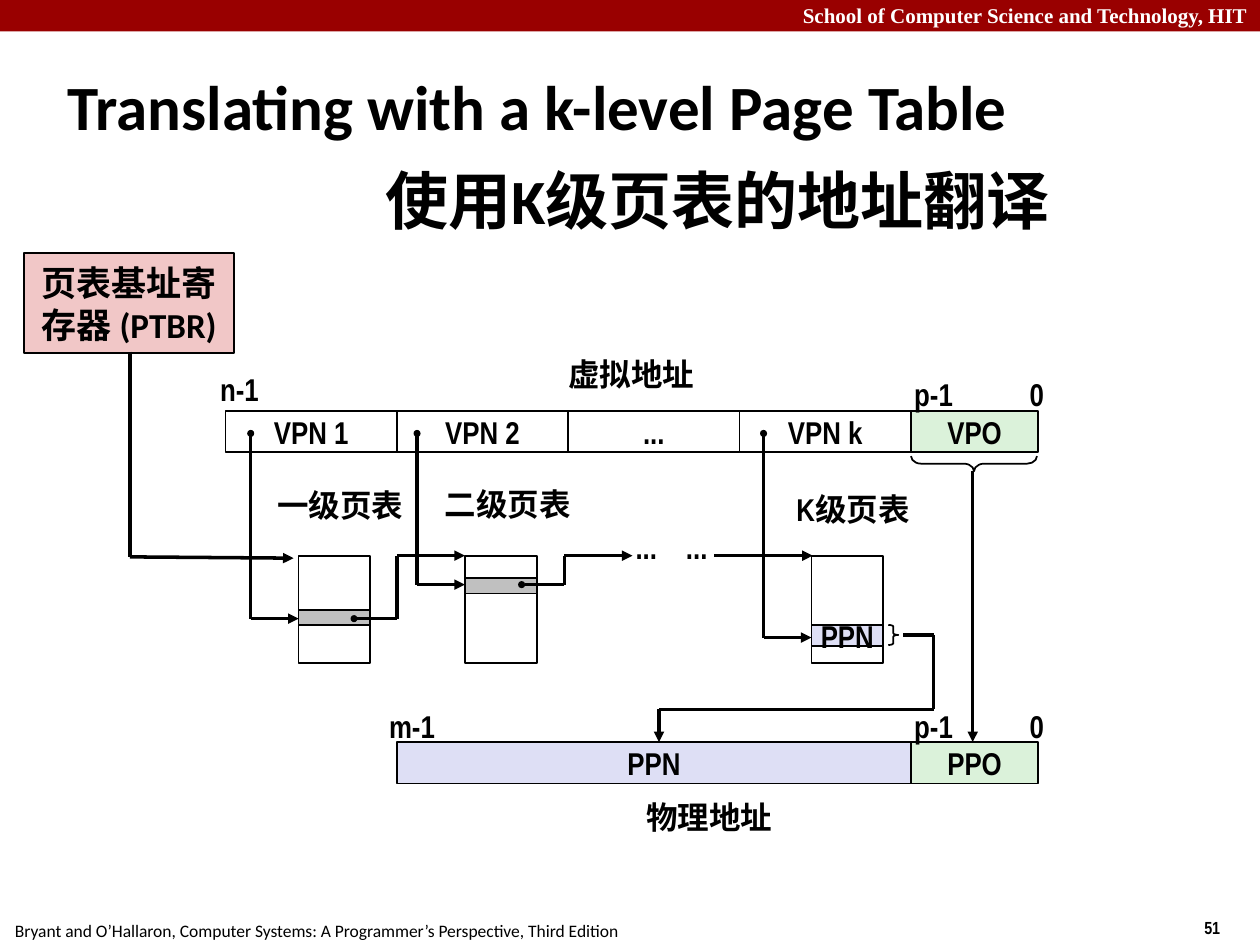
from itertools import pairwise
from lxml.etree import SubElement
from pptx import Presentation
from pptx.dml.color import RGBColor
from pptx.enum.shapes import MSO_CONNECTOR, MSO_SHAPE
from pptx.enum.text import MSO_ANCHOR, PP_ALIGN
from pptx.oxml.ns import qn
from pptx.util import Inches, Pt

THEME = dict(
    ink="000000", white="FFFFFF", banner="990000", base="F1C7C7",
    offset="DBF2DA", frame="DEDFF5", entry="C0C0C0",
    narrow="Arial Narrow", sans="Calibri", serif="Times New Roman",
    title=36, large=20, body=18, head=12, small=10, edge=1, wire=2,
)

TITLE = [("Translating with a k-level Page Table", 0), ("使用K级页表的地址翻译", 2.52)]
FIELDS = ["VPN 1", "VPN 2", "...", "VPN k"]
FIELD_W, FIELD_H = 1.36, 0.33
SPLIT, OFFSET_W = 7.23, 1.01
VIRT_Y, PHYS_Y, PHYS_X = 3.26, 5.89, 3.15
TABLE_Y, TABLE_W, TABLE_H = 4.41, 0.57, 0.85
LABEL_W, LABEL_H = 1.2, 0.4

# table left, entry top, entry height, fill, text
TABLES = [
    (2.37, 4.84, 0.12, "entry", ""),
    (3.69, 4.59, 0.12, "entry", ""),
    (6.44, 4.96, 0.17, "frame", "PPN"),
]

# text, centre, top
LABELS = [
    ("n-1", 1.9, 2.89), ("p-1", 7.41, 2.93), ("0", 8.23, 2.93),
    ("m-1", 3.27, 5.56), ("p-1", 7.41, 5.56), ("0", 8.23, 5.56),
    ("虚拟地址", 5.01, 2.77), ("物理地址", 5.63, 6.28),
    ("一级页表", 2.7, 3.81), ("二级页表", 4.03, 3.8), ("K级页表", 6.77, 3.84),
    ("...", 5.13, 4.14), ("...", 5.53, 4.14),
]

# corner points, starts with a dot
ROUTES = [
    ([(1.03, 2.79), (1.03, 4.42), (2.33, 4.43)], False),
    ([(1.99, 3.44), (1.99, 4.91), (2.37, 4.91)], True),
    ([(3.31, 3.44), (3.31, 4.64), (3.69, 4.64)], True),
    ([(6.06, 3.44), (6.06, 5.06), (6.44, 5.06)], True),
    ([(2.81, 4.91), (3.15, 4.91), (3.15, 4.41), (3.69, 4.41)], True),
    ([(4.14, 4.64), (4.48, 4.64), (4.48, 4.41), (5.02, 4.41)], True),
    ([(5.67, 4.41), (6.45, 4.41)], False),
    ([(7.72, 3.74), (7.72, 5.89)], False),
    ([(7.17, 5.04), (7.41, 5.04), (7.41, 5.63), (5.23, 5.63), (5.23, 5.89)], False),
]

# left, top, width, height, turn, curve
BRACES = [(7.67, 3.18, 0.12, 1, 90, 0.67), (7.05, 4.96, 0.08, 0.16, 0, 0.17)]

deck = Presentation()
deck.slide_width, deck.slide_height = Inches(10), Inches(7.5)
slide = deck.slides.add_slide(deck.slide_layouts[6])
shapes = slide.shapes


def tint(name):
    return RGBColor.from_string(THEME[name])


def write(shape, text, size="body", font="narrow", color="ink", bold=True,
          align=PP_ALIGN.CENTER, anchor=MSO_ANCHOR.MIDDLE, wrap=False, space=None):
    """Fill a shape with text: a string, or (string, indent) pairs."""
    frame = shape.text_frame
    frame.word_wrap = wrap
    frame.vertical_anchor = anchor
    lines = [(text, 0)] if isinstance(text, str) else text
    for i, (line, indent) in enumerate(lines):
        para = frame.add_paragraph() if i else frame.paragraphs[0]
        if indent:
            para._p.get_or_add_pPr().set("marL", str(Inches(indent)))
        para.alignment = align
        para.line_spacing = space
        run = para.add_run()
        run.text = line
        run.font.name, run.font.size = THEME[font], Pt(THEME[size])
        run.font.bold, run.font.color.rgb = bold, tint(color)


def label(text, x, y, w, h, **style):
    write(shapes.add_textbox(*map(Inches, (x, y, w, h))), text, **style)


def box(x, y, w, h, fill=None, line=True, text="", kind=MSO_SHAPE.RECTANGLE, **style):
    shape = shapes.add_shape(kind, *map(Inches, (x, y, w, h)))
    shape.shadow.inherit = False
    if fill:
        shape.fill.solid()
        shape.fill.fore_color.rgb = tint(fill)
    else:
        shape.fill.background()
    if line:
        shape.line.color.rgb = tint("ink")
        shape.line.width = Pt(THEME["edge"])
    else:
        shape.line.fill.background()
    if text:
        write(shape, text, **style)
    return shape


def wire(start, end, dot, arrow):
    line = shapes.add_connector(MSO_CONNECTOR.STRAIGHT, *map(Inches, start + end))
    line.line.color.rgb = tint("ink")
    line.line.width = Pt(THEME["wire"])
    props = line.line._get_or_add_ln()
    if dot:
        SubElement(props, qn("a:headEnd"), type="oval", w="sm", len="sm")
    if arrow:
        SubElement(props, qn("a:tailEnd"), type="triangle")
    SubElement(line._element.spPr, qn("a:effectLst"))


box(0, 0, 10, 0.25, fill="banner", line=False)
label("School of Computer Science and Technology, HIT", 0, -0.03, 10, 0.3, size="head",
      font="serif", color="white", align=PP_ALIGN.RIGHT, anchor=MSO_ANCHOR.TOP, wrap=True)
foot = dict(size="small", align=PP_ALIGN.LEFT, anchor=MSO_ANCHOR.TOP)
label("Bryant and O’Hallaron, Computer Systems: A Programmer’s Perspective, Third Edition",
      0.02, 7.25, 5.01, 0.27, font="sans", bold=False, **foot)
label("51", 9.46, 7.23, 0.5, 0.27, wrap=True, **foot)
label(TITLE, 0.44, 0.27, 9.06, 1.73, size="title", font="sans",
      align=PP_ALIGN.LEFT, wrap=True, space=1.25)

box(0.19, 2.01, 1.67, 0.79, fill="base", text="页表基址寄存器 (PTBR)",
    size="large", font="sans", wrap=True)
for i, name in enumerate(FIELDS):
    box(SPLIT - FIELD_W * (len(FIELDS) - i), VIRT_Y, FIELD_W, FIELD_H, text=name)
box(PHYS_X, PHYS_Y, SPLIT - PHYS_X, FIELD_H, fill="frame", text="PPN")
for y, name in ((VIRT_Y, "VPO"), (PHYS_Y, "PPO")):
    box(SPLIT, y, OFFSET_W, FIELD_H, fill="offset", text=name)

for x, y, h, fill, name in TABLES:
    box(x, TABLE_Y, TABLE_W, TABLE_H)
    box(x, y, TABLE_W, h, fill=fill, text=name)

for points, dot in ROUTES:
    legs = list(pairwise(points))
    for i, (start, end) in enumerate(legs):
        wire(start, end, dot and i == 0, i == len(legs) - 1)

for name, mid, y in LABELS:
    w = LABEL_W if len(name) > 3 else LABEL_W / 2
    label(name, mid - w / 2, y, w, LABEL_H)

for x, y, w, h, turn, curve in BRACES:
    brace = box(x, y, w, h, kind=MSO_SHAPE.RIGHT_BRACE)
    brace.rotation = turn
    brace.adjustments[0] = curve

deck.save("out.pptx")
